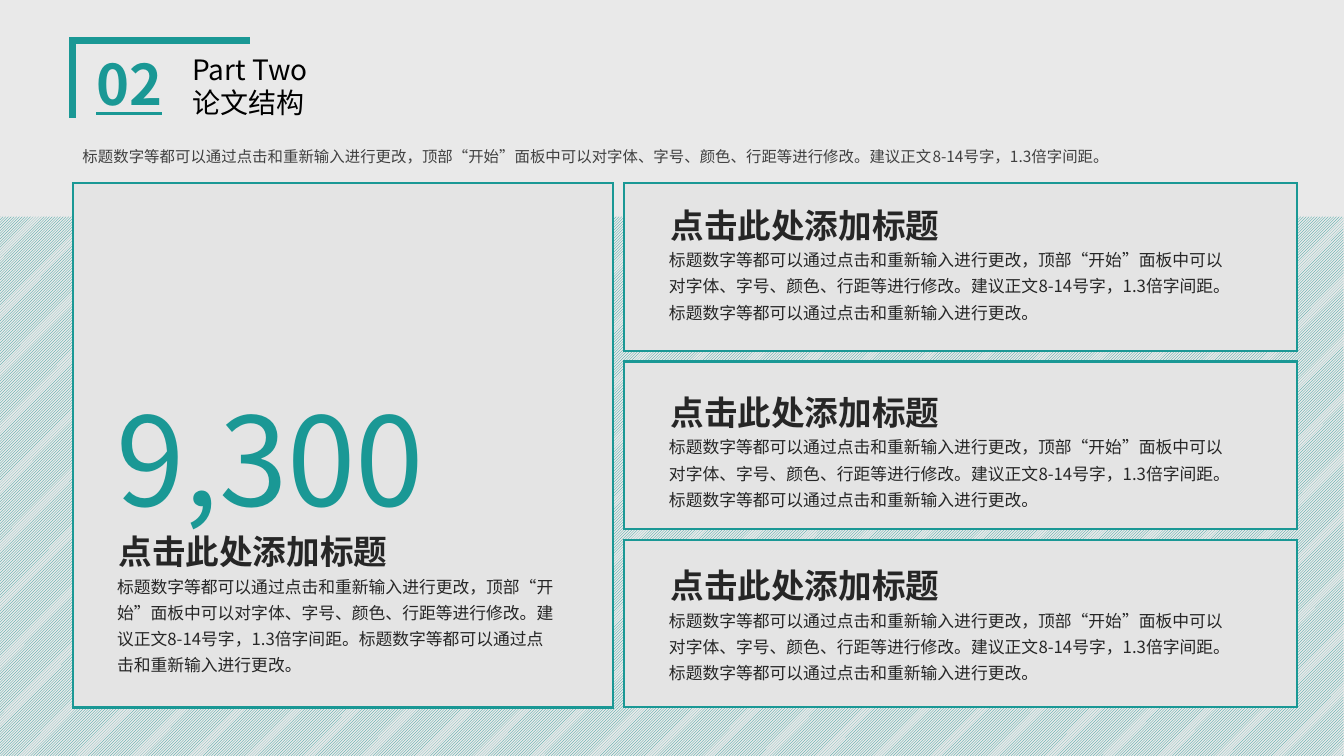
import pptx
import pptx.dml.color
import pptx.enum.dml
import pptx.enum.shapes
import pptx.enum.text
import pptx.oxml
import pptx.oxml.ns
import pptx.util

Cm = pptx.util.Cm
Pt = pptx.util.Pt
RGBColor = pptx.dml.color.RGBColor

TEAL = RGBColor(0x1A, 0x98, 0x95)
PAPER = RGBColor(0xE9, 0xE9, 0xE9)
PANEL = RGBColor(0xE4, 0xE4, 0xE4)
BLACK = RGBColor(0, 0, 0)
INK = RGBColor(0x26, 0x26, 0x26)
GRAY = RGBColor(0x40, 0x40, 0x40)

HEADING = "点击此处添加标题"
INTRO = ("标题数字等都可以通过点击和重新输入进行更改，顶部“开始”面板中可以对字体、"
         "字号、颜色、行距等进行修改。建议正文8-14号字，1.3倍字间距。")
BODY = INTRO + "标题数字等都可以通过点击和重新输入进行更改。"


class SlideBuilder:
    font_name = "Noto Sans CJK SC"

    def __init__(self, slide):
        self.slide = slide

    def background(self, color):
        fill = self.slide.background.fill
        fill.solid()
        fill.fore_color.rgb = color

    def outline(self, shape, width):
        shape.shadow.inherit = False
        shape.line.color.rgb = TEAL
        shape.line.width = Pt(width)
        line = shape._element.spPr.find(pptx.oxml.ns.qn("a:ln"))
        miter = pptx.oxml.parse_xml(
            f'<a:miter {pptx.oxml.ns.nsdecls("a")} lim="800000"/>')
        line.append(miter)

    def bracket(self, points, width):
        start, *others = [(Cm(x), Cm(y)) for x, y in points]
        builder = self.slide.shapes.build_freeform(*start)
        builder.add_line_segments(others, close=False)
        shape = builder.convert_to_shape()
        shape.fill.background()
        self.outline(shape, width)

    def rectangle(self, *box):
        return self.slide.shapes.add_shape(
            pptx.enum.shapes.MSO_SHAPE.RECTANGLE, *map(Cm, box))

    def hatch(self, *box):
        shape = self.rectangle(*box)
        shape.shadow.inherit = False
        shape.fill.patterned()
        shape.fill.pattern = pptx.enum.dml.MSO_PATTERN.LIGHT_UPWARD_DIAGONAL
        shape.fill.fore_color.rgb = TEAL
        shape.fill.back_color.rgb = PAPER
        shape.line.fill.background()

    def panel(self, *box):
        shape = self.rectangle(*box)
        shape.fill.solid()
        shape.fill.fore_color.rgb = PANEL
        self.outline(shape, 1.5)

    def text(self, lines, box, size, color, wrap=True, spacing=None, **styles):
        frame = self.slide.shapes.add_textbox(*map(Cm, box)).text_frame
        frame.word_wrap = wrap
        frame.auto_size = pptx.enum.text.MSO_AUTO_SIZE.SHAPE_TO_FIT_TEXT
        frame.text = "\n".join(lines)
        formats = {"name": self.font_name, "size": Pt(size), **styles}
        for paragraph in frame.paragraphs:
            paragraph.line_spacing = spacing
            for run in paragraph.runs:
                for attribute, value in formats.items():
                    setattr(run.font, attribute, value)
                run.font.color.rgb = color
                east_asian = pptx.oxml.parse_xml(
                    f'<a:ea {pptx.oxml.ns.nsdecls("a")} typeface="{self.font_name}"/>')
                run.font._element.find(pptx.oxml.ns.qn("a:latin")).addnext(east_asian)

    def section(self, left, top, width, height):
        self.text([HEADING], (left, top, 7.34, 1.27), 24, INK, wrap=False, bold=True)
        self.text([BODY], (left - 0.04, top + 0.99, width, height), 12, INK, spacing=1.3)


def main():
    presentation = pptx.Presentation()
    presentation.slide_width = Cm(33.87)
    presentation.slide_height = Cm(19.05)
    slide = presentation.slides.add_slide(presentation.slide_layouts[6])
    builder = SlideBuilder(slide)

    # Backdrop
    builder.background(PAPER)
    builder.bracket([(1.83, 2.97), (1.83, 1.02), (6.3, 1.02)], 4.5)
    builder.hatch(-0.05, 5.46, 33.91, 13.59)

    # Header
    builder.text(["02"], (2.18, 1.12, 2.41, 1.96), 40, TEAL, bold=True, underline=True)
    builder.text(["Part Two", "论文结构"], (4.6, 1.19, 6.1, 1.96), 20, BLACK)
    builder.text([INTRO], (1.83, 3.45, 30.86, 0.86), 11, GRAY, spacing=1.3)

    # Key figure panel
    builder.panel(1.83, 4.62, 13.61, 13.21)
    builder.section(2.74, 13.26, 11.58, 2.92)
    builder.text(["9,300"], (2.69, 9.53, 12.65, 4.01), 88, TEAL)

    # Three stacked panels
    for index, heading_top in enumerate((5.03, 9.75, 14.12)):
        builder.panel(15.72, 4.62 + index * 4.49, 16.97, 4.22)
        builder.section(16.65, heading_top, 14.81, 2.26)

    presentation.save("out.pptx")


if __name__ == "__main__":
    main()
